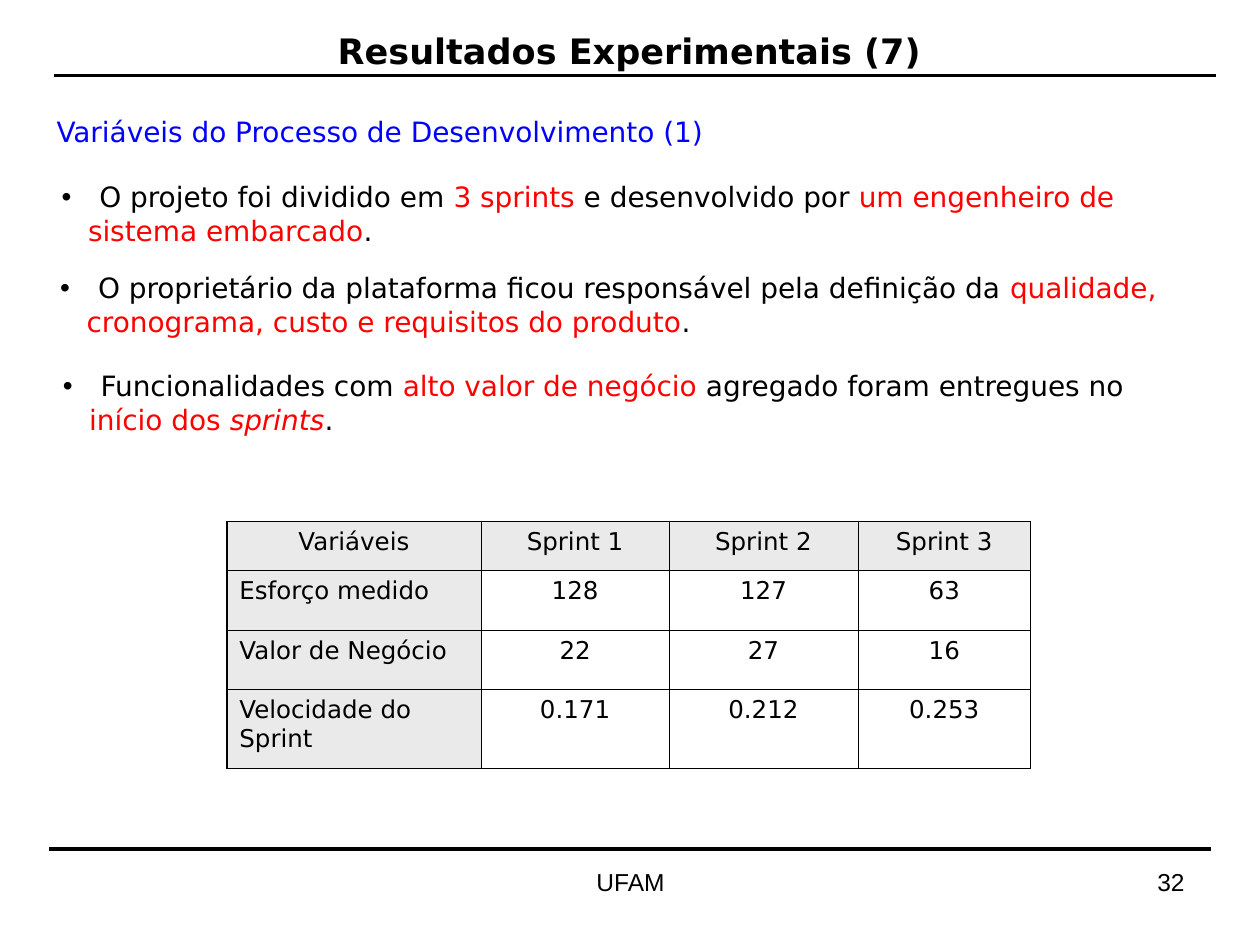
from lxml.etree import SubElement
from pptx import Presentation
from pptx.dml.color import RGBColor
from pptx.enum.shapes import MSO_CONNECTOR
from pptx.enum.text import MSO_ANCHOR, PP_ALIGN
from pptx.oxml.ns import qn
from pptx.util import Inches, Pt

BLACK = RGBColor(0x00, 0x00, 0x00)
RED = RGBColor(0xFF, 0x00, 0x00)
BLUE = RGBColor(0x00, 0x00, 0xFF)
GRAY = RGBColor(0xEA, 0xEA, 0xEA)
FONT = "DejaVu Sans"

TITLE = "Resultados Experimentais (7)"
SUBTITLE = "Variáveis do Processo de Desenvolvimento (1)"

# box position, then lines of (text, colour, italic) runs
BULLETS = [
    ((0.39, 1.38, 9.42, 0.64), [
        [("O projeto foi dividido em ", BLACK, False), ("3 sprints", RED, False),
         (" e desenvolvido por ", BLACK, False), ("um engenheiro de", RED, False)],
        [("sistema embarcado", RED, False), (".", BLACK, False)]]),
    ((0.38, 2.1, 9.1, 0.64), [
        [("O proprietário da plataforma ficou responsável pela definição da ", BLACK, False),
         ("qualidade,", RED, False)],
        [("cronograma, custo e requisitos do produto", RED, False), (".", BLACK, False)]]),
    ((0.4, 2.88, 9.29, 0.64), [
        [("Funcionalidades com ", BLACK, False), ("alto valor de negócio", RED, False),
         (" agregado foram entregues no", BLACK, False)],
        [("início dos ", RED, False), ("sprints", RED, True), (".", BLACK, False)]]),
]
FIRST_INDENT, NEXT_INDENT = 0.3, 0.21

TABLE = [
    ["Variáveis", "Sprint 1", "Sprint 2", "Sprint 3"],
    ["Esforço medido", "128", "127", "63"],
    ["Valor de Negócio", "22", "27", "16"],
    ["Velocidade do Sprint", "0.171", "0.212", "0.253"],
]
COL_WIDTHS = [2.02, 1.49, 1.5, 1.37]
ROW_HEIGHTS = [0.39, 0.47, 0.47, 0.63]
RULES = [(0.39, 6.74), (0.43, 0.6)]
RULE_WIDTH = 9.22


def add_run(p, text, size, color=BLACK, font=FONT, bold=False, italic=False):
    r = p.add_run()
    r.text = text
    r.font.size, r.font.name = Pt(size), font
    r.font.bold, r.font.italic = bold, italic
    r.font.color.rgb = color


def add_box(s, box, anchor=MSO_ANCHOR.TOP):
    tf = s.shapes.add_textbox(*map(Inches, box)).text_frame
    tf.word_wrap = True
    tf.vertical_anchor = anchor
    return tf


def add_label(s, box, text, size, align=PP_ALIGN.LEFT, anchor=MSO_ANCHOR.TOP, **style):
    p = add_box(s, box, anchor).paragraphs[0]
    p.alignment = align
    add_run(p, text, size, **style)


def add_rule(s, x, y):
    line = s.shapes.add_connector(MSO_CONNECTOR.STRAIGHT, Inches(x), Inches(y),
                                  Inches(x + RULE_WIDTH), Inches(y))
    line.line.color.rgb = BLACK
    line.line.width = Pt(2)
    SubElement(line._element.spPr, qn("a:effectLst"))


def add_bullet(s, box, lines):
    tf = add_box(s, box)
    for i, runs in enumerate(lines):
        p = tf.add_paragraph() if i else tf.paragraphs[0]
        pPr = p._p.get_or_add_pPr()
        pPr.set("marL", str(Inches(NEXT_INDENT if i else FIRST_INDENT)))
        pPr.set("indent", str(0 if i else -Inches(FIRST_INDENT)))
        if i == 0:
            color = SubElement(pPr, qn("a:buClr"))
            SubElement(color, qn("a:srgbClr"), val=str(BLACK))
            SubElement(pPr, qn("a:buFont"), typeface="Arial")
            SubElement(pPr, qn("a:buChar"), char="•")
        for text, run_color, italic in runs:
            add_run(p, text, 16, run_color, italic=italic)


def set_borders(cell, outer_sides):
    """Draw all four borders, thicker on the table's outer sides."""
    tcPr = cell._tc.get_or_add_tcPr()
    for i, side in enumerate("LRTB"):
        width = Pt(1.08 if side in outer_sides else 0.45)
        ln = SubElement(tcPr, qn(f"a:ln{side}"), w=str(width))
        fill = SubElement(ln, qn("a:solidFill"))
        SubElement(fill, qn("a:srgbClr"), val=str(BLACK))


def add_sprint_table(s):
    n_rows, n_cols = len(TABLE), len(TABLE[0])
    table = s.shapes.add_table(n_rows, n_cols, Inches(1.8), Inches(4.14),
                               Inches(sum(COL_WIDTHS)), Inches(sum(ROW_HEIGHTS))).table
    table.horz_banding = False
    for column, width in zip(table.columns, COL_WIDTHS):
        column.width = Inches(width)
    for i, (row, height) in enumerate(zip(TABLE, ROW_HEIGHTS)):
        table.rows[i].height = Inches(height)
        for j, text in enumerate(row):
            cell = table.cell(i, j)
            edges = {"L": j == 0, "R": j == n_cols - 1, "T": i == 0, "B": i == n_rows - 1}
            set_borders(cell, [side for side, outer in edges.items() if outer])
            if i == 0 or j == 0:
                cell.fill.solid()
                cell.fill.fore_color.rgb = GRAY
            else:
                cell.fill.background()
            p = cell.text_frame.paragraphs[0]
            p.alignment = PP_ALIGN.LEFT if i and j == 0 else PP_ALIGN.CENTER
            # The table's own text spacing
            p.space_before = Pt(3.5)
            add_run(p, text, 14)


def main():
    prs = Presentation()
    prs.slide_width, prs.slide_height = Inches(10), Inches(7.5)
    s = prs.slides.add_slide(prs.slide_layouts[6])
    add_label(s, (0.35, 0.28, 9.29, 0.24), TITLE, 20, PP_ALIGN.CENTER,
              MSO_ANCHOR.MIDDLE, bold=True)
    for x, y in RULES:
        add_rule(s, x, y)
    add_label(s, (0.35, 0.86, 6.85, 0.37), SUBTITLE, 16,
              anchor=MSO_ANCHOR.MIDDLE, color=BLUE)
    for box, lines in BULLETS:
        add_bullet(s, box, lines)
    add_sprint_table(s)
    add_label(s, (3.42, 6.83, 3.17, 0.52), "UFAM", 14, PP_ALIGN.CENTER, font="Arial")
    add_label(s, (7.17, 6.83, 2.33, 0.52), "32", 14, PP_ALIGN.RIGHT, font="Arial")
    prs.save("out.pptx")


if __name__ == "__main__":
    main()
